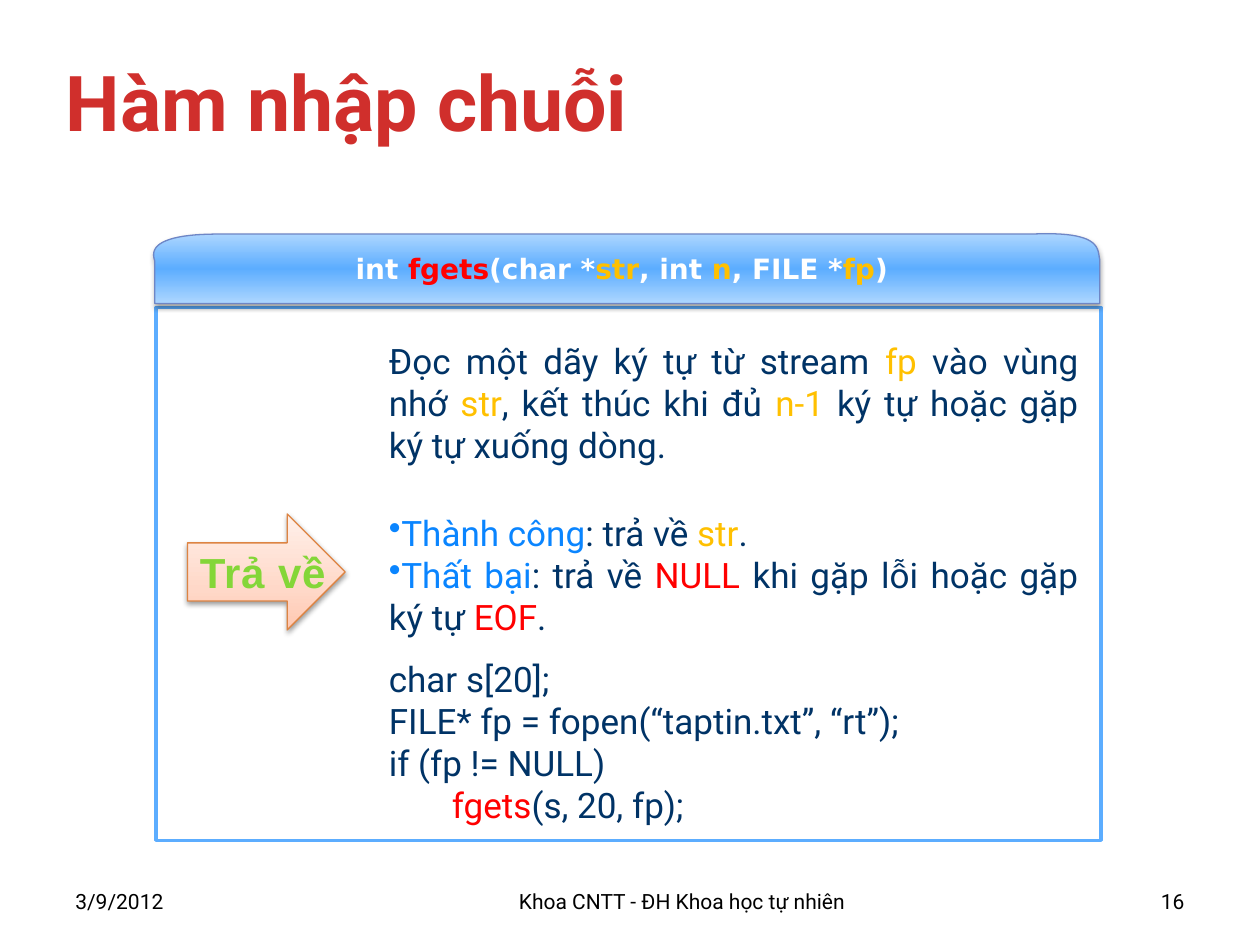
from lxml.etree import SubElement
from pptx import Presentation
from pptx.dml.color import RGBColor
from pptx.enum.shapes import MSO_SHAPE
from pptx.enum.text import MSO_ANCHOR, MSO_AUTO_SIZE, PP_ALIGN
from pptx.oxml.ns import qn
from pptx.util import Cm, Pt

HEX = {
    "title": "D02F2C", "black": "000000", "white": "FFFFFF", "navy": "003366",
    "gold": "FFC000", "red": "FF0000", "blue": "0A85FF", "green": "84D638",
    "frame": "5CADFF", "pale": "ADD6FF", "edge": "6E86C6", "rust": "DD8443",
    "peach": "FFC8B1", "blush": "FFD8C8", "cream": "FFF0EA",
}


def color(name):
    return RGBColor.from_string(HEX[name])


def box(at):
    return [Cm(v) for v in at]


def write(shape, paras, size=20, face="Roboto", hue="navy", bold=False,
          align=PP_ALIGN.LEFT, wrap=True, bullet=None, space=None):
    """Each paragraph is a list of runs: plain text or (text, colour)."""
    frame = shape.text_frame
    frame.auto_size = MSO_AUTO_SIZE.NONE
    frame.word_wrap = wrap
    frame.vertical_anchor = MSO_ANCHOR.MIDDLE
    for i, runs in enumerate(paras):
        para = frame.add_paragraph() if i else frame.paragraphs[0]
        para.alignment = align
        if bullet:
            SubElement(para._p.get_or_add_pPr(), qn("a:buChar")).set("char", bullet)
        for part in runs:
            text, tint = (part, hue) if isinstance(part, str) else part
            run = para.add_run()
            run.text = text
            font = run.font
            font.name, font.size, font.bold = face, Pt(size), bold
            font.color.rgb = color(tint)
            if space:
                run._r.get_or_add_rPr().set("spc", str(space))


def outline(shape, hue, width):
    shape.shadow.inherit = False
    shape.line.color.rgb = color(hue)
    shape.line.width = Pt(width)


def shade(shape, stops, angle):
    """Fill with a gradient of (percent, colour) stops."""
    shape.fill.gradient()
    shape.fill.gradient_angle = angle
    group = shape._element.spPr.find(".//" + qn("a:gsLst"))
    for old in list(group):
        group.remove(old)
    for spot, name in stops:
        stop = SubElement(group, qn("a:gs"), pos=str(spot * 1000))
        SubElement(stop, qn("a:srgbClr"), val=HEX[name])


def drop(shape, alpha, blur, dist):
    """Cast a soft shadow straight down."""
    effect = shape._element.spPr.find(qn("a:effectLst"))
    cast = SubElement(effect, qn("a:outerShdw"), blurRad=str(Pt(blur)),
                      dist=str(Pt(dist)), dir="5400000", rotWithShape="0")
    tint = SubElement(cast, qn("a:srgbClr"), val=HEX["black"])
    SubElement(tint, qn("a:alpha"), val=str(alpha * 1000))


def curve(a, b, c, d, steps=24):
    """Points along a cubic curve, without its start."""
    points = []
    for i in range(1, steps + 1):
        t = i / steps
        u = 1 - t
        points.append(tuple(
            Cm(u**3 * p + 3 * u * u * t * q + 3 * u * t * t * r + t**3 * s)
            for p, q, r, s in zip(a, b, c, d)))
    return points


def panel(slide, top, paras, **kind):
    shape = slide.shapes.add_shape(MSO_SHAPE.RECTANGLE, *box((7.59, top, 14.4, 3.23)))
    shape.fill.solid()
    shape.fill.fore_color.rgb = color("white")
    outline(shape, "white", 2)
    write(shape, paras, align=PP_ALIGN.JUSTIFY, **kind)


def arrow(slide):
    shape = slide.shapes.add_shape(MSO_SHAPE.RIGHT_ARROW, *box((3.78, 10.36, 3.18, 2.34)))
    shade(shape, [(0, "peach"), (35, "blush"), (100, "cream")], 90)
    outline(shape, "rust", 0.75)
    drop(shape, 38, 3.1, 1.6)
    write(shape, [["Trả về"]], size=24, face="Arial", hue="green", bold=True,
          wrap=False, space=50)


def header(slide):
    left, right, base = 3.12, 22.17, 6.12
    start, end = (left, 5.26), (right, 5.23)
    peak, turn = (20.78, 4.72), (4.5, 4.72)
    path = slide.shapes.build_freeform(*box(start))
    path.add_line_segments([box((left, base)), box((right, base)), box(end)], close=False)
    path.add_line_segments(curve(end, (22.12, 5.03), (22.23, 4.65), peak), close=False)
    path.add_line_segments([box(turn)], close=False)
    path.add_line_segments(curve(turn, (2.87, 4.7), (3.1, 5.16), start))
    shape = path.convert_to_shape()
    shade(shape, [(0, "pale"), (50, "frame"), (100, "pale")], 270)
    outline(shape, "edge", 0.75)
    drop(shape, 35, 3.1, 1.8)
    shape.text_frame.margin_right = Cm(0.45)
    write(shape, [["int ", ("fgets", "red"), "(char *", ("str", "gold"), ", int ",
                   ("n", "gold"), ", FILE *", ("fp", "gold"), ")"]],
          size=16, face="DejaVu Sans", hue="white", bold=True,
          align=PP_ALIGN.CENTER, wrap=False)


def main():
    deck = Presentation()
    deck.slide_width, deck.slide_height = Cm(25.4), Cm(19.05)
    slide = deck.slides.add_slide(deck.slide_layouts[5])

    # Title
    title = slide.shapes.title
    title.left, title.top, title.width, title.height = box((1.07, 0.43, 23.93, 3.18))
    write(title, [["Hàm nhập chuỗi"]], size=44, hue="title", bold=True)

    # Footer
    for left, width, text, align in (
            (1.27, 2.74, "3/9/2012", PP_ALIGN.LEFT),
            (5.28, 16.94, "Khoa CNTT - ĐH Khoa học tự nhiên", PP_ALIGN.CENTER),
            (22.66, 1.47, "16", PP_ALIGN.RIGHT)):
        note = slide.shapes.add_textbox(*box((left, 17.65, width, 1.02)))
        write(note, [[text]], size=12, hue="black", align=align)

    # Frame
    frame = slide.shapes.add_shape(MSO_SHAPE.ROUNDED_RECTANGLE, *box((3.15, 6.2, 19.05, 10.74)))
    frame.adjustments[0] = 0
    frame.fill.background()
    outline(frame, "frame", 2)

    # Purpose, result and example
    panel(slide, 6.5, [[
        "Đọc một dãy ký tự từ stream ", ("fp ", "gold"), "vào vùng nhớ ",
        ("str", "gold"), ", kết thúc khi đủ ", ("n-1 ", "gold"),
        "ký tự hoặc gặp ký tự xuống dòng."]])
    panel(slide, 9.96, [
        [("Thành công", "blue"), ": trả về ", ("str", "gold"), "."],
        [("Thất bại", "blue"), ": trả về ", ("NULL ", "red"),
         "khi gặp lỗi hoặc gặp ký tự ", ("EOF", "red"), "."]], bullet="•")
    panel(slide, 13.34, [
        ["char s[20];"],
        ["FILE* fp = fopen(“taptin.txt”, “rt”);"],
        ["if (fp != NULL)"],
        ["\t", ("fgets", "red"), "(s, 20, fp);"]])

    arrow(slide)
    header(slide)
    deck.save("out.pptx")


if __name__ == "__main__":
    main()
